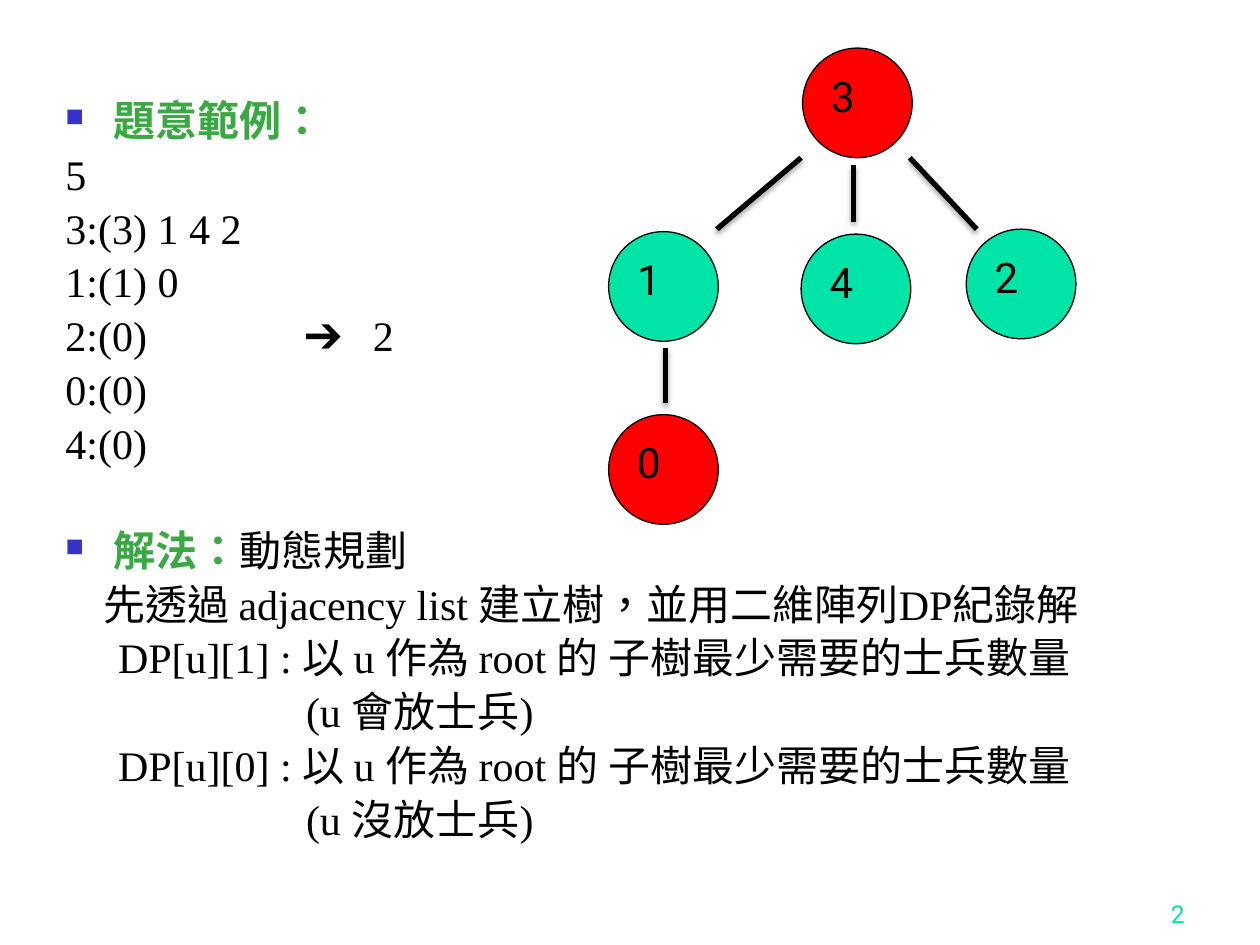
from lxml.etree import SubElement
from pptx import Presentation
from pptx.dml.color import RGBColor
from pptx.enum.shapes import MSO_CONNECTOR, MSO_SHAPE
from pptx.enum.text import MSO_ANCHOR, PP_ALIGN
from pptx.oxml import parse_xml
from pptx.oxml.ns import nsdecls, qn
from pptx.util import Cm, Pt

BLACK, RED, TEAL, GREEN, BLUE = "000000", "FF0000", "00E4A8", "3BA943", "3333CC"


def color(hex_code):
    return RGBColor.from_string(hex_code)


def write(paragraph, text, size=24, font="Times New Roman", ink=BLACK, bold=False):
    run = paragraph.add_run()
    run.text = text
    run.font.size = Pt(size)
    run.font.name = font
    run.font.bold = bold
    run.font.color.rgb = color(ink)
    run.font._element.set("lang", "zh-TW")


prs = Presentation()
prs.slide_width, prs.slide_height = Cm(25.4), Cm(19.05)
slide = prs.slides.add_slide(prs.slide_layouts[6])

page_number = slide.shapes.add_textbox(Cm(18.85), Cm(17.58), Cm(5.28), Cm(1.27)).text_frame
page_number.word_wrap = True
page_number.vertical_anchor = MSO_ANCHOR.BOTTOM
page_number.paragraphs[0].alignment = PP_ALIGN.RIGHT
write(page_number.paragraphs[0], "2", size=14, font="Roboto", ink=TEAL)

# Heading, text, left indent in cm, tab stops in cm
explanation = [
    ("題意範例：", "", 0.97, ()),
    ("", "5", 0, ()),
    ("", "3:(3) 1 4 2", 0, ()),
    ("", "1:(1) 0", 0, ()),
    ("", "2:(0)\t➔\t2", 0, (4.82, 6.2)),
    ("", "0:(0)", 0, ()),
    ("", "4:(0)", 0, ()),
    ("解法：", "動態規劃", 0.97, ()),
    ("", "先透過 adjacency list 建立樹，並用二維陣列DP紀錄解", 0.76, ()),
    ("", "DP[u][1] : 以 u 作為 root 的 子樹最少需要的士兵數量", 1.06, ()),
    ("", "(u 會放士兵)", 4.85, ()),
    ("", "DP[u][0] : 以 u 作為 root 的 子樹最少需要的士兵數量", 1.06, ()),
    ("", "(u 沒放士兵)", 4.85, ()),
]
body = slide.shapes.add_textbox(Cm(1.07), Cm(1.9), Cm(22.43), Cm(15.62)).text_frame
body.word_wrap = True
solution_start = 7
for index, (heading, text, indent, tabs) in enumerate(explanation):
    paragraph = body.paragraphs[0] if index == 0 else body.add_paragraph()
    properties = paragraph._p.get_or_add_pPr()
    if indent:
        properties.set("marL", str(Cm(indent)))
    if heading:
        properties.set("indent", str(-Cm(indent)))
        bullet_color = SubElement(properties, qn("a:buClr"))
        SubElement(bullet_color, qn("a:srgbClr"), val=BLUE)
        SubElement(properties, qn("a:buSzPct"), val="60000")
        SubElement(properties, qn("a:buChar"), char="■")
    if tabs:
        tab_list = SubElement(properties, qn("a:tabLst"))
        for stop in tabs:
            SubElement(tab_list, qn("a:tab"), pos=str(Cm(stop)), algn="l")
    paragraph.line_spacing = 0.9
    if index:
        paragraph.space_before = Pt(35.5 if index == solution_start else 4.8)
    if index >= solution_start:
        paragraph.alignment = PP_ALIGN.JUSTIFY
    if heading:
        write(paragraph, heading, ink=GREEN, bold=True)
    if text:
        write(paragraph, text)

tree_nodes = [
    ("3", 16.18, 0.97, RED),
    ("4", 16.15, 4.72, TEAL),
    ("0", 12.27, 8.36, RED),
    ("2", 19.48, 4.62, TEAL),
    ("1", 12.27, 4.67, TEAL),
]
for label, left, top, fill in tree_nodes:
    node = slide.shapes.add_shape(MSO_SHAPE.OVAL, Cm(left), Cm(top), Cm(2.21), Cm(2.21))
    node.shadow.inherit = False
    node.fill.solid()
    node.fill.fore_color.rgb = color(fill)
    node.line.color.rgb = color(BLACK)
    node.line.width = Pt(0.75)
    node.text_frame.word_wrap = False
    node.text_frame.vertical_anchor = MSO_ANCHOR.TOP
    node.text_frame.paragraphs[0].alignment = PP_ALIGN.LEFT
    write(node.text_frame.paragraphs[0], label, font="Roboto")

tree_edges = [
    (16.15, 3.18, 14.45, 4.62),
    (17.2, 3.33, 17.2, 4.47),
    (18.34, 3.18, 19.69, 4.62),
    (13.41, 7.01, 13.41, 8.13),
]
for ends in tree_edges:
    edge = slide.shapes.add_connector(MSO_CONNECTOR.STRAIGHT, *map(Cm, ends))
    edge.line.color.rgb = color(BLACK)
    edge.line.width = Pt(3)
    edge._element.spPr.append(parse_xml(
        f'<a:effectLst {nsdecls("a")}>'
        f'<a:outerShdw blurRad="{Pt(3.1)}" dist="{Pt(1.8)}" dir="5400000" rotWithShape="0">'
        f'<a:srgbClr val="{BLACK}"><a:alpha val="35000"/></a:srgbClr>'
        '</a:outerShdw></a:effectLst>'))

prs.save("out.pptx")
